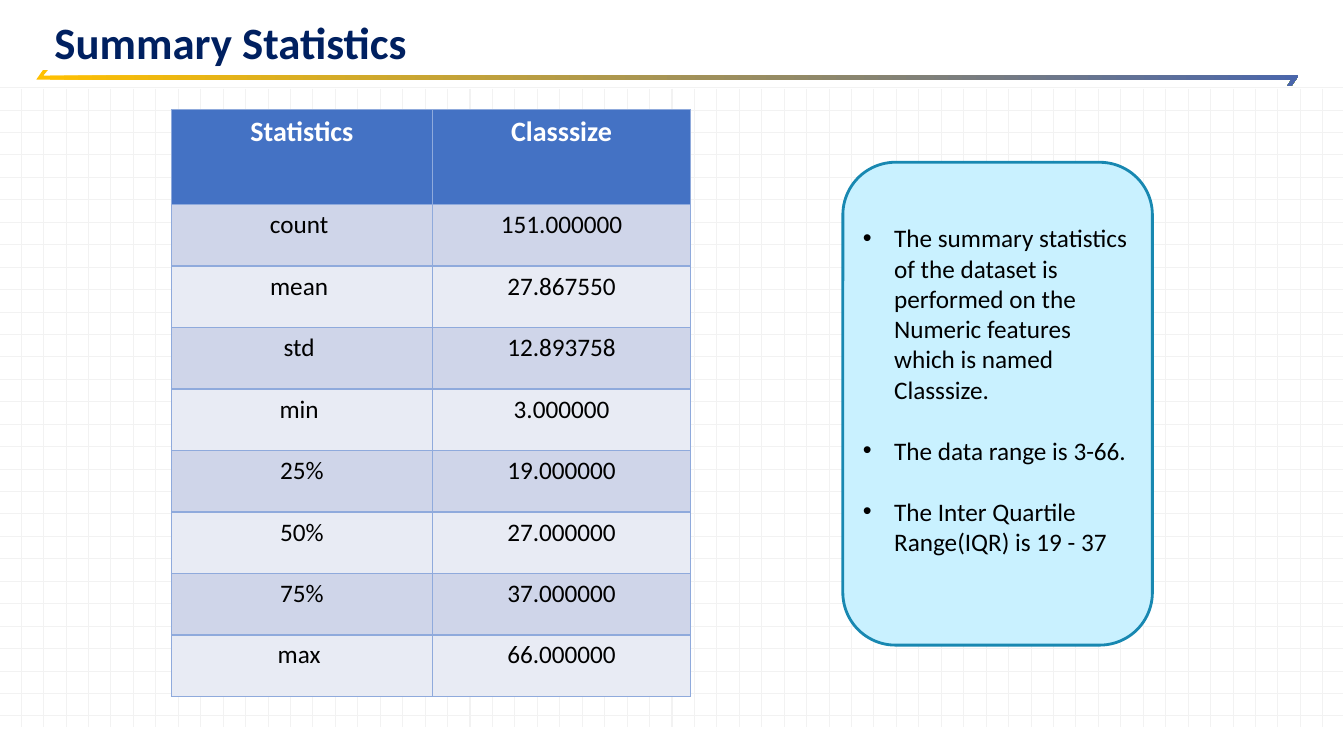
from lxml import etree
from pptx import Presentation, util as u
from pptx.dml.color import RGBColor
from pptx.enum import shapes, text
from pptx.oxml import parse_xml
from pptx.oxml.ns import nsdecls, qn

COLORS = {
    "grid": "F2F2F2", "gold": "FFC000", "blue": "4A66AC", "navy": "002060",
    "header": "4472C4", "odd": "CFD5E9", "even": "E8EBF4", "border": "8FAADC",
    "panel": "C9F1FF", "outline": "1888B1", "black": "000000", "white": "FFFFFF",
}
STATISTICS = [
    ("Statistics", "Classsize"),
    ("count ", "151.000000"),
    ("mean ", "27.867550"),
    ("std ", "12.893758"),
    ("min ", "3.000000"),
    ("25%", "19.000000"),
    ("50%", "27.000000"),
    ("75%", "37.000000"),
    ("max ", "66.000000"),
]
FINDINGS = [
    "The summary statistics of the dataset is performed on the Numeric features which is named Classsize.",
    "The data range is 3-66.",
    "The Inter Quartile Range(IQR) is 19 - 37",
]
RIBBON = [
    (0.43, 0.69), (0.48, 0.69), (0.43, 0.75), (12.88, 0.75), (12.81, 0.85),
    (12.77, 0.85), (12.81, 0.79), (0.36, 0.79),
]


def color(name):
    return RGBColor.from_string(COLORS[name])


def assign(target, values):
    for name, value in values.items():
        setattr(target, name, value)


class Slide:
    font = "Calibri"

    def __init__(self, deck):
        self.page = deck.slides.add_slide(deck.slide_layouts[5])

    def place(self, box, left, top, width, height):
        assign(box, {"left": u.Inches(left), "top": u.Inches(top),
                     "width": u.Inches(width), "height": u.Inches(height)})

    def wording(self, para, words, size, ink, bold=False, **layout):
        assign(para, layout)
        span = para.add_run()
        span.text = words
        assign(span.font, {"name": self.font, "size": u.Pt(size), "bold": bold})
        span.font.color.rgb = color(ink)

    def title(self, words, *bounds):
        box = self.page.shapes.title
        self.place(box, *bounds)
        assign(box.text_frame, {"vertical_anchor": text.MSO_ANCHOR.BOTTOM, "word_wrap": True,
                                "auto_size": text.MSO_AUTO_SIZE.NONE})
        self.wording(box.text_frame.paragraphs[0], words, 32, "navy", True,
                     alignment=text.PP_ALIGN.LEFT, line_spacing=0.9)

    def line(self, *ends):
        line = self.page.shapes.add_connector(
            shapes.MSO_CONNECTOR.STRAIGHT, *[u.Inches(end) for end in ends])
        line.line.color.rgb = color("grid")
        line.line.width = u.Pt(0.75)
        etree.SubElement(line._element.spPr, qn("a:effectLst"))

    def grid(self, columns, rows, step):
        for column in range(columns):
            x = 0.21 + column * step
            self.line(x, 0.88, x, 7.21)
        for row in range(rows):
            y = 0.87 + row * step
            self.line(0, y, 13.32, y)

    def ribbon(self, points):
        corners = [(u.Inches(x), u.Inches(y)) for x, y in points]
        builder = self.page.shapes.build_freeform(*corners[0])
        builder.add_line_segments(corners[1:])
        ribbon = builder.convert_to_shape()
        ribbon.shadow.inherit = False
        ribbon.line.fill.background()
        ribbon.fill.gradient()
        ribbon.fill.gradient_angle = 0
        for stop, (position, name) in zip(ribbon.fill.gradient_stops, [(0, "gold"), (1, "blue")]):
            stop.position = position
            stop.color.rgb = color(name)

    def cell(self, cell, words, fill, size, ink, bold):
        cell.fill.solid()
        cell.fill.fore_color.rgb = color(fill)
        self.wording(cell.text_frame.paragraphs[0], words, size, ink, bold,
                     alignment=text.PP_ALIGN.CENTER)
        for index, side in enumerate("LRTB"):
            border = parse_xml(
                f'<a:ln{side} {nsdecls("a")} w="{u.Pt(0.96)}"><a:solidFill>'
                f'<a:srgbClr val="{COLORS["border"]}"/></a:solidFill></a:ln{side}>')
            cell._tc.get_or_add_tcPr().insert(index, border)

    def table(self, records, widths, heights, left, top):
        frame = self.page.shapes.add_table(
            len(records), len(widths), u.Inches(left), u.Inches(top),
            u.Inches(sum(widths)), u.Inches(sum(heights)))
        table = frame.table
        for column, width in zip(table.columns, widths):
            column.width = u.Inches(width)
        for index, (record, height) in enumerate(zip(records, heights)):
            table.rows[index].height = u.Inches(height)
            if index == 0:
                style = ("header", 20, "white", True)
            else:
                style = ("odd" if index % 2 else "even", 18, "black", False)
            for column, words in enumerate(record):
                self.cell(table.cell(index, column), words, *style)

    def panel(self, *bounds):
        box = self.page.shapes.add_shape(
            shapes.MSO_SHAPE.ROUNDED_RECTANGLE, *[u.Inches(bound) for bound in bounds])
        box.adjustments[0] = 0.17
        box.shadow.inherit = False
        box.fill.solid()
        box.fill.fore_color.rgb = color("panel")
        box.line.color.rgb = color("outline")
        box.line.width = u.Pt(2)

    def bullets(self, items, *bounds):
        box = self.page.shapes.add_textbox(*[u.Inches(bound) for bound in bounds])
        frame = box.text_frame
        frame.word_wrap = True
        for index, words in enumerate(items):
            para = frame.add_paragraph() if index else frame.paragraphs[0]
            self.wording(para, words, 18, "black", space_before=u.Pt(22 if index else 0))
            properties = para._p.get_or_add_pPr()
            properties.set("marL", str(u.Inches(0.31)))
            properties.set("indent", str(u.Inches(-0.31)))
            etree.SubElement(properties, qn("a:buFont"), typeface="Arial")
            etree.SubElement(properties, qn("a:buChar"), char="•")


def main():
    deck = Presentation()
    assign(deck, {"slide_width": u.Inches(13.33), "slide_height": u.Inches(7.5)})
    slide = Slide(deck)
    slide.grid(59, 29, 12.91 / 58)
    slide.ribbon(RIBBON)
    slide.title("Summary Statistics", 0.44, 0, 12.44, 0.74)
    slide.table(STATISTICS, [2.59, 2.56], [0.94] + [0.61] * 8, 1.7, 1.09)
    slide.panel(8.36, 1.61, 3.07, 4.79)
    slide.bullets(FINDINGS, 8.46, 2.16, 2.87, 4.3)
    deck.save("out.pptx")


if __name__ == "__main__":
    main()
